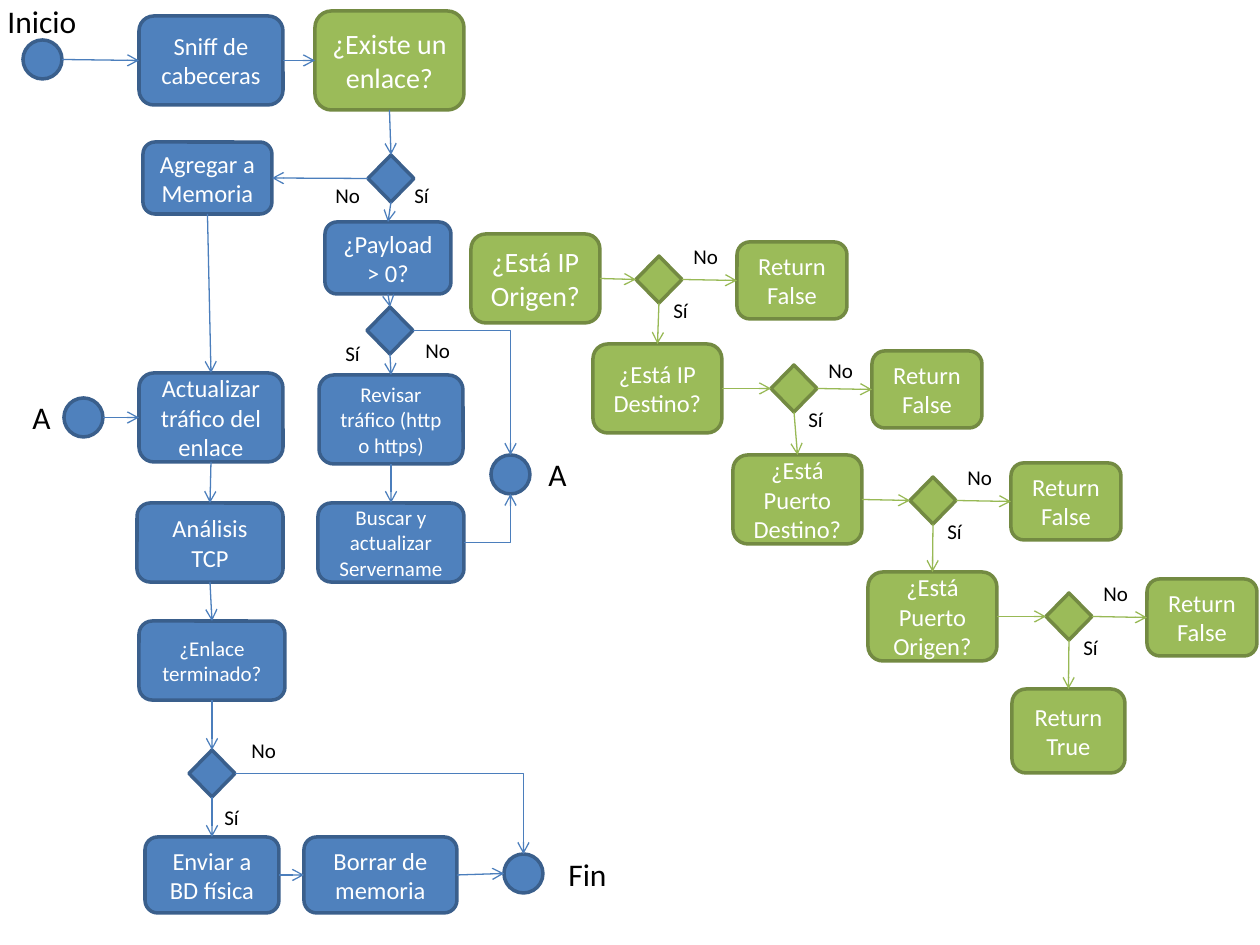
from dataclasses import dataclass

from lxml import etree
from pptx import Presentation
from pptx import util as u
from pptx.dml.color import RGBColor
from pptx.enum import shapes, text
from pptx.oxml import ns

SCALE = 914400 / 126
WHITE = RGBColor(0xFF, 0xFF, 0xFF)
BLACK = RGBColor(0, 0, 0)
FONT = "Calibri"
BOX = shapes.MSO_SHAPE.ROUNDED_RECTANGLE
DIAMOND = shapes.MSO_SHAPE.DIAMOND
CIRCLE = shapes.MSO_SHAPE.OVAL
TOP, LEFT, BOTTOM, RIGHT = range(4)


@dataclass(frozen=True)
class Palette:
    fill: RGBColor
    border: RGBColor
    link: RGBColor


BLUE = Palette(RGBColor(0x4F, 0x81, 0xBD), RGBColor(0x3A, 0x5F, 0x8C), RGBColor(0x4B, 0x7E, 0xBC))
GREEN = Palette(RGBColor(0x9B, 0xBB, 0x59), RGBColor(0x73, 0x8A, 0x42), RGBColor(0x98, 0xB9, 0x55))


@dataclass(frozen=True)
class Node:
    key: str
    left: int
    top: int
    width: int
    height: int
    words: str = ""
    size: int = 14
    kind: shapes.MSO_SHAPE = BOX
    palette: Palette = BLUE


@dataclass(frozen=True)
class Label:
    words: str
    left: int
    top: int


@dataclass(frozen=True)
class Link:
    start: str
    start_side: int
    end: str
    end_side: int
    palette: Palette = BLUE
    bent: bool = False


@dataclass(frozen=True)
class Check:
    words: str
    left: int
    top: int
    choice_left: int
    choice_top: int
    size: int = 14
    no_rise: int = 19


def decision(key: str, left: int, top: int, palette: Palette = BLUE) -> Node:
    return Node(key, left, top, 46, 47, kind=DIAMOND, palette=palette)


def circle(key: str, left: int, top: int) -> Node:
    return Node(key, left, top, 39, 39, kind=CIRCLE)


LABEL_SIZES = {
    "Sí": (40, 38, 12),
    "No": (50, 38, 12),
    "Inicio": (94, 50, 18),
    "Fin": (64, 50, 18),
    "A": (44, 50, 18),
}

NODES = [
    circle("start", 23, 40),
    Node("sniff", 139, 16, 144, 89, "Sniff de cabeceras"),
    Node("exists", 315, 11, 149, 99, "¿Existe un enlace?", 16, palette=GREEN),
    decision("exists choice", 368, 155),
    Node("add", 143, 142, 129, 72, "Agregar a Memoria"),
    Node("payload", 325, 222, 126, 72, "¿Payload > 0?"),
    decision("payload choice", 367, 307),
    Node("review", 319, 375, 144, 89, "Revisar tráfico (http o https)", 12),
    Node("search", 318, 503, 146, 79, "Buscar y actualizar Servername", 12),
    circle("jump out", 491, 455),
    circle("jump in", 64, 398),
    Node("update", 139, 373, 144, 89, "Actualizar tráfico del enlace"),
    Node("analysis", 137, 503, 146, 79, "Análisis TCP"),
    Node("finished", 139, 621, 146, 79, "¿Enlace terminado?", 12),
    decision("finished choice", 189, 750),
    Node("send", 145, 837, 134, 76, "Enviar a BD física"),
    Node("erase", 304, 837, 153, 76, "Borrar de memoria"),
    circle("end", 504, 854),
    Node("true", 1012, 689, 113, 84, "Return True", palette=GREEN),
]

LABELS = [
    Label("Inicio", -5, -4),
    Label("Fin", 556, 849),
    Label("A", 536, 449),
    Label("A", 20, 392),
    Label("No", 323, 176),
    Label("Sí", 402, 176),
    Label("Sí", 333, 334),
    Label("No", 413, 331),
    Label("No", 239, 731),
    Label("Sí", 212, 798),
]

LINKS = [
    Link("start", RIGHT, "sniff", LEFT),
    Link("sniff", RIGHT, "exists", LEFT),
    Link("exists", BOTTOM, "exists choice", TOP),
    Link("exists choice", LEFT, "add", RIGHT),
    Link("exists choice", BOTTOM, "payload", TOP),
    Link("payload", BOTTOM, "payload choice", TOP),
    Link("payload choice", BOTTOM, "review", TOP),
    Link("payload choice", RIGHT, "jump out", TOP, bent=True),
    Link("review", BOTTOM, "search", TOP),
    Link("search", RIGHT, "jump out", BOTTOM, bent=True),
    Link("add", BOTTOM, "update", TOP),
    Link("jump in", RIGHT, "update", LEFT),
    Link("update", BOTTOM, "analysis", TOP),
    Link("analysis", BOTTOM, "finished", TOP),
    Link("finished", BOTTOM, "finished choice", TOP),
    Link("finished choice", BOTTOM, "send", TOP),
    Link("finished choice", RIGHT, "end", TOP, bent=True),
    Link("send", RIGHT, "erase", LEFT),
    Link("erase", RIGHT, "end", LEFT),
]

CHECKS = [
    Check("¿Está IP Origen?", 471, 234, 636, 256, size=16),
    Check("¿Está IP Destino?", 593, 344, 771, 365, no_rise=14),
    Check("¿Está Puerto Destino?", 733, 455, 910, 477),
    Check("¿Está Puerto Origen?", 868, 572, 1046, 593),
]

for check, following in zip(CHECKS, [check.words for check in CHECKS[1:]] + ["true"]):
    key, x, y = check.words, check.choice_left, check.choice_top
    choice, failure = f"{key} choice", f"{key} false"
    NODES += [
        Node(key, check.left, check.top, 129, 89, key, check.size, palette=GREEN),
        decision(choice, x, y, GREEN),
        Node(failure, x + 101, y - 14, 110, 77, "Return False", palette=GREEN),
    ]
    LABELS += [Label("Sí", x + 25, y + 35), Label("No", x + 45, y - check.no_rise)]
    LINKS += [
        Link(key, RIGHT, choice, LEFT, GREEN),
        Link(choice, RIGHT, failure, LEFT, GREEN),
        Link(choice, BOTTOM, following, TOP, GREEN),
    ]


def px(*lengths: int) -> list[u.Emu]:
    return [u.Emu(round(length * SCALE)) for length in lengths]


def write(frame, words: str, *, size: int, color: RGBColor, align: text.PP_ALIGN) -> None:
    para = frame.paragraphs[0]
    para.alignment = align
    span = para.add_run()
    span.text = words
    span.font.name = FONT
    span.font.size = u.Pt(size)
    span.font.color.rgb = color


def draw_node(page, node: Node):
    box = page.shapes.add_shape(node.kind, *px(node.left, node.top, node.width, node.height))
    box.shadow.inherit = False
    box.fill.solid()
    box.fill.fore_color.rgb = node.palette.fill
    box.line.color.rgb = node.palette.border
    box.line.width = u.Pt(2)
    if node.words:
        box.text_frame.word_wrap = True
        box.text_frame.vertical_anchor = text.MSO_ANCHOR.MIDDLE
        write(box.text_frame, node.words, size=node.size, color=WHITE, align=text.PP_ALIGN.CENTER)
    return box


def draw_label(page, label: Label) -> None:
    width, height, size = LABEL_SIZES[label.words]
    frame = page.shapes.add_textbox(*px(label.left, label.top, width, height)).text_frame
    frame.word_wrap = False
    frame.auto_size = text.MSO_AUTO_SIZE.SHAPE_TO_FIT_TEXT
    write(frame, label.words, size=size, color=BLACK, align=text.PP_ALIGN.LEFT)


def side_point(box, side: int) -> tuple[int, int]:
    x = box.left + {LEFT: 0, RIGHT: box.width}.get(side, box.width // 2)
    y = box.top + {TOP: 0, BOTTOM: box.height}.get(side, box.height // 2)
    return x, y


def draw_link(page, link: Link, boxes: dict) -> None:
    start, end = boxes[link.start], boxes[link.end]
    kind = shapes.MSO_CONNECTOR.ELBOW if link.bent else shapes.MSO_CONNECTOR.STRAIGHT
    line = page.shapes.add_connector(
        kind, *side_point(start, link.start_side), *side_point(end, link.end_side))
    properties = line._element.spPr
    if link.bent:
        properties.find(ns.qn("a:prstGeom")).set("prst", "bentConnector2")
    else:
        if start.auto_shape_type != CIRCLE:
            line.begin_connect(start, link.start_side)
        if end.auto_shape_type != CIRCLE:
            line.end_connect(end, link.end_side)
    line.line.color.rgb = link.palette.link
    line.line.width = u.Pt(0.75)
    etree.SubElement(line.line._get_or_add_ln(), ns.qn("a:tailEnd"), type="arrow")
    etree.SubElement(properties, ns.qn("a:effectLst"))


deck = Presentation()
deck.slide_width, deck.slide_height = u.Inches(10), u.Inches(7.5)
page = deck.slides.add_slide(deck.slide_layouts[6])
boxes = {node.key: draw_node(page, node) for node in NODES}
for link in LINKS:
    draw_link(page, link, boxes)
for label in LABELS:
    draw_label(page, label)
deck.save("out.pptx")
